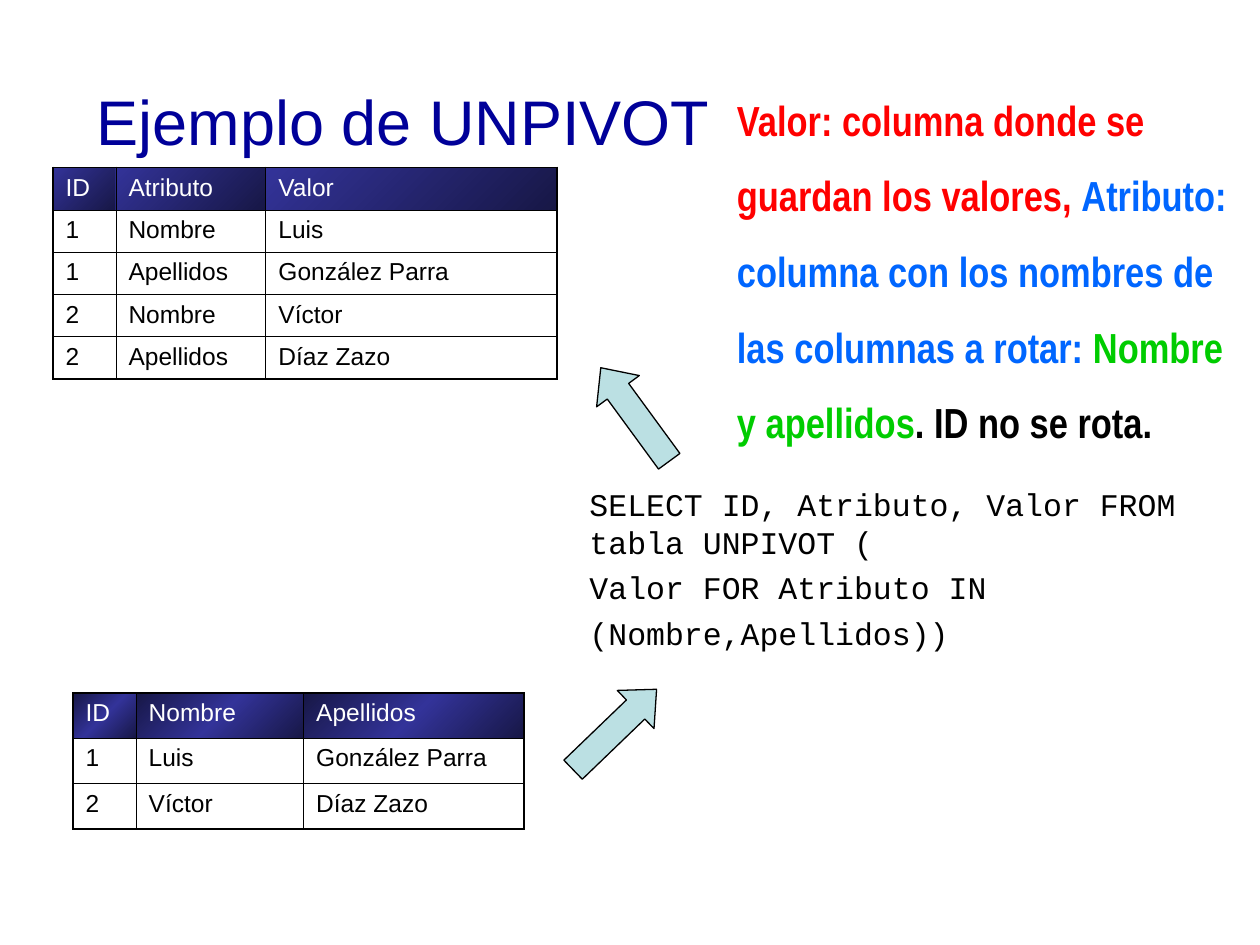
"""Builds the UNPIVOT example slide with its tables, query and explanation."""
from dataclasses import dataclass

from pptx import Presentation, util as u
from pptx.dml.color import RGBColor
from pptx.enum import shapes, text
from pptx.oxml import parse_xml
from pptx.oxml.ns import nsdecls


@dataclass(frozen=True)
class Theme:
    navy: str = "000099"
    black: str = "000000"
    white: str = "FFFFFF"
    red: str = "FF0000"
    blue: str = "0066FF"
    green: str = "00CC00"
    arrow: str = "BBE0E3"
    shadow: str = "C0C0C0"
    header_dark: str = "171746"
    header_light: str = "333399"
    body_font: str = "Arial"
    note_font: str = "Arial Narrow"
    code_font: str = "Courier New"
    title_size: int = 36
    note_size: int = 24
    code_size: int = 18
    cell_size: int = 14
    outer_line: float = 1.08
    inner_line: float = 0.45


class SlideBuilder:
    def __init__(self, slide, theme):
        self.slide = slide
        self.theme = theme

    def add_run(self, paragraph, words, size, font, color, bold=False, shadow=False):
        run = paragraph.add_run()
        run.text = words
        run.font.size = u.Pt(size)
        run.font.bold = bold
        run.font.color.rgb = RGBColor.from_string(color)
        if shadow:
            run.font._element.append(parse_xml(
                f'<a:effectLst {nsdecls("a")}>'
                '<a:outerShdw dist="17961" dir="2700000">'
                f'<a:srgbClr val="{self.theme.shadow}"/></a:outerShdw></a:effectLst>'))
        run.font.name = font

    def add_frame(self, left, top, width, height, grow=True):
        box = self.slide.shapes.add_textbox(
            u.Inches(left), u.Inches(top), u.Inches(width), u.Inches(height))
        frame = box.text_frame
        frame.word_wrap = True
        if grow:
            frame.auto_size = text.MSO_AUTO_SIZE.SHAPE_TO_FIT_TEXT
        return frame

    def add_title(self, words, *place):
        frame = self.add_frame(*place, grow=False)
        frame.vertical_anchor = text.MSO_ANCHOR.MIDDLE
        t = self.theme
        self.add_run(frame.paragraphs[0], words, t.title_size, t.body_font, t.navy)

    def add_code(self, lines, *place):
        frame = self.add_frame(*place)
        t = self.theme
        for number, line in enumerate(lines):
            paragraph = frame.add_paragraph() if number else frame.paragraphs[0]
            paragraph.level = 1
            properties = paragraph._p.get_or_add_pPr()
            properties.set("marL", str(u.Inches(0.5)))
            properties.set("indent", "0")
            if number:
                paragraph.space_before = u.Pt(4.5)
            self.add_run(paragraph, line, t.code_size, t.code_font, t.black, shadow=True)

    def add_note(self, parts, *place):
        paragraph = self.add_frame(*place).paragraphs[0]
        paragraph.line_spacing = 1.5
        t = self.theme
        for words, color in parts:
            self.add_run(paragraph, words, t.note_size, t.note_font, color, bold=True)

    def add_arrow(self, left, top, rotation):
        arrow = self.slide.shapes.add_shape(
            shapes.MSO_SHAPE.RIGHT_ARROW,
            u.Inches(left), u.Inches(top), u.Inches(0.92), u.Inches(0.42))
        arrow.rotation = rotation
        arrow.adjustments[1] = 0.55
        arrow.shadow.inherit = False
        arrow.fill.solid()
        arrow.fill.fore_color.rgb = RGBColor.from_string(self.theme.arrow)
        arrow.line.color.rgb = RGBColor.from_string(self.theme.black)
        arrow.line.width = u.Pt(0.75)

    def add_border(self, cell, side, is_outer):
        t = self.theme
        width = u.Pt(t.outer_line if is_outer else t.inner_line)
        cell._tc.get_or_add_tcPr().append(parse_xml(
            f'<a:ln{side} {nsdecls("a")} w="{width}"><a:solidFill>'
            f'<a:srgbClr val="{t.black}"/></a:solidFill></a:ln{side}>'))

    def add_gradient(self, cell, colors):
        step = 100000 // (len(colors) - 1)
        stops = "".join(
            f'<a:gs pos="{number * step}"><a:srgbClr val="{color}"/></a:gs>'
            for number, color in enumerate(colors))
        cell._tc.get_or_add_tcPr().append(parse_xml(
            f'<a:gradFill {nsdecls("a")} rotWithShape="0"><a:gsLst>{stops}</a:gsLst>'
            '<a:lin ang="13500000" scaled="1"/></a:gradFill>'))

    def add_table(self, left, top, widths, row_height, records, header_colors):
        t = self.theme
        last_row, last_column = len(records) - 1, len(widths) - 1
        table = self.slide.shapes.add_table(
            len(records), len(widths), u.Inches(left), u.Inches(top),
            u.Inches(sum(widths)), u.Inches(row_height * len(records))).table
        table.first_row = table.horz_banding = False
        for column, width in zip(table.columns, widths):
            column.width = u.Inches(width)
        for r, record in enumerate(records):
            table.rows[r].height = u.Inches(row_height)
            for c, words in enumerate(record):
                cell = table.cell(r, c)
                outer = {"L": c == 0, "R": c == last_column, "T": r == 0, "B": r == last_row}
                for side, is_outer in outer.items():
                    self.add_border(cell, side, is_outer)
                if r == 0:
                    self.add_gradient(cell, header_colors)
                else:
                    cell.fill.background()
                self.add_run(cell.text_frame.paragraphs[0], words, t.cell_size,
                             t.body_font, t.black if r else t.white)


def main():
    deck = Presentation()
    deck.slide_width, deck.slide_height = u.Inches(10), u.Inches(7.5)
    theme = Theme()
    builder = SlideBuilder(deck.slides.add_slide(deck.slide_layouts[6]), theme)

    people = [("1", "Luis", "González Parra"), ("2", "Víctor", "Díaz Zazo")]
    source_rows = [("ID", "Nombre", "Apellidos"), *people]
    unpivoted_rows = [("ID", "Atributo", "Valor")] + [
        (person[0], attribute, value)
        for person in people
        for attribute, value in zip(source_rows[0][1:], person[1:])]
    dark, light = theme.header_dark, theme.header_light

    builder.add_title("Ejemplo de UNPIVOT", 0.67, 0.33, 8.42, 1.25)
    builder.add_code(["SELECT ID, Atributo, Valor FROM tabla UNPIVOT (",
                      "Valor FOR Atributo IN",
                      "(Nombre,Apellidos))"], 4.08, 3.8, 5.39, 1.79)
    builder.add_table(0.42, 1.33, (0.5, 1.19, 2.31), 0.336, unpivoted_rows, (dark, light))
    builder.add_table(0.58, 5.5, (0.5, 1.33, 1.75), 0.36, source_rows, (dark, light, dark))
    builder.add_arrow(4.58, 3.08, 233.8)
    builder.add_arrow(4.42, 5.58, 316.1)
    builder.add_note([
        ("Valor: columna donde se guardan los valores, ", theme.red),
        ("Atributo: columna con los nombres de las columnas a rotar: ", theme.blue),
        ("Nombre y apellidos", theme.green),
        (". ID no se rota.", theme.black)], 5.75, 0.5, 4.25, 3.1)
    deck.save("out.pptx")


if __name__ == "__main__":
    main()
